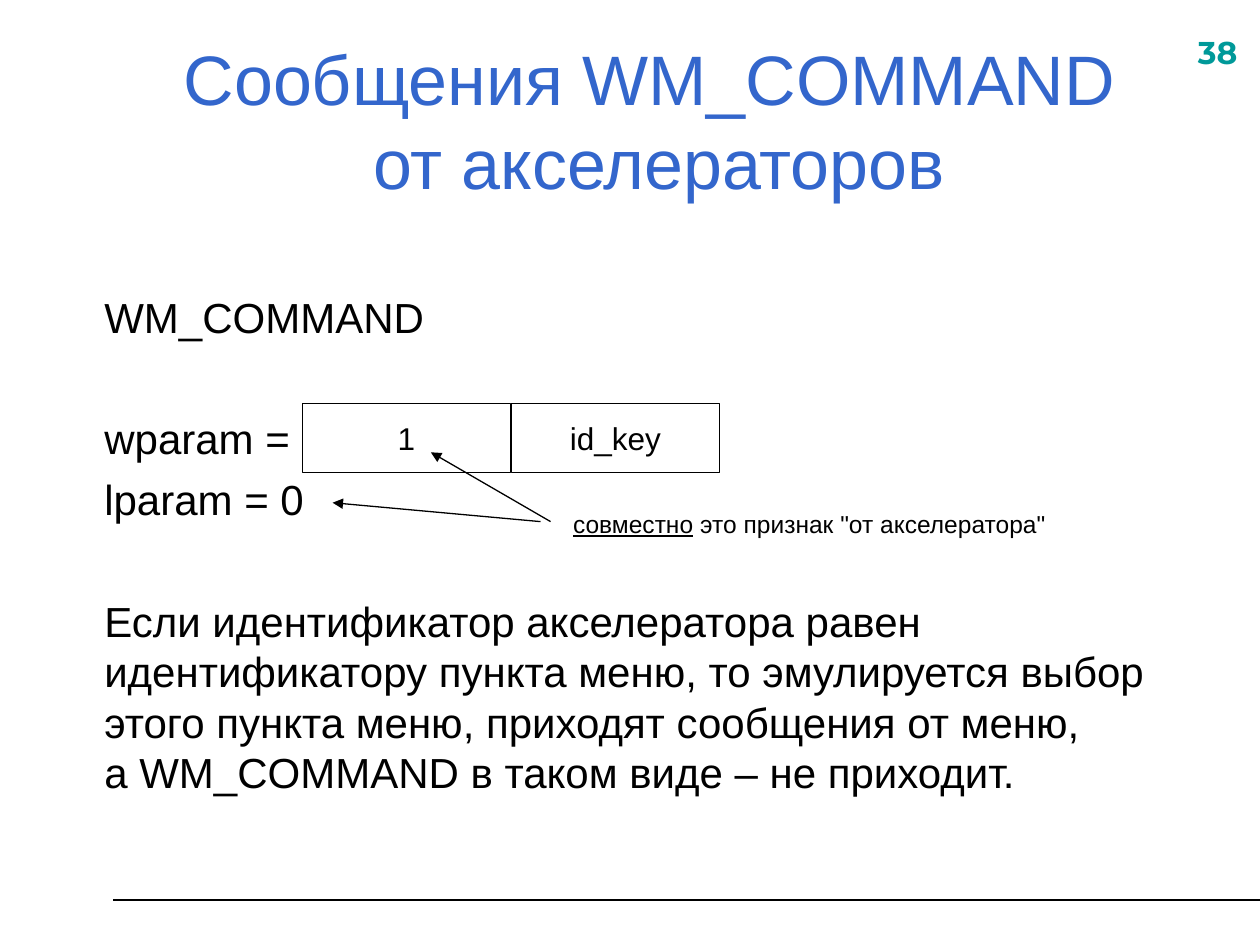
from dataclasses import dataclass

from lxml.etree import SubElement
from pptx import Presentation
from pptx.dml.color import RGBColor
from pptx.enum.shapes import MSO_CONNECTOR, MSO_SHAPE
from pptx.enum.text import MSO_ANCHOR, MSO_AUTO_SIZE, PP_ALIGN
from pptx.oxml.ns import qn
from pptx.util import Inches, Pt


@dataclass(frozen=True)
class Theme:
    black: RGBColor = RGBColor(0x00, 0x00, 0x00)
    blue: RGBColor = RGBColor(0x33, 0x66, 0xCC)
    teal: RGBColor = RGBColor(0x00, 0x99, 0x99)
    font: str = "Arial"
    number_font: str = "Montserrat"
    title_size: Pt = Pt(40)
    body_size: Pt = Pt(24)
    cell_size: Pt = Pt(18)
    note_size: Pt = Pt(14)
    thin: Pt = Pt(0.75)
    rule: Pt = Pt(1.25)


THEME = Theme()


def set_format(target, values):
    for name, value in values.items():
        setattr(target, name, value)


def write(para, text, size, color=THEME.black, **extra):
    """Add one formatted span; a vertical tab in the text breaks the line."""
    for index, piece in enumerate(text.split("\v")):
        if index:
            para.add_line_break()
        span = para.add_run()
        span.text = piece
        set_format(span.font, {"name": THEME.font, "size": size, **extra})
        span.font.color.rgb = color


def add_box(slide, left, top, width, height, **frame_format):
    box = slide.shapes.add_textbox(
        Inches(left), Inches(top), Inches(width), Inches(height))
    set_format(box.text_frame, {"word_wrap": True, **frame_format})
    return box.text_frame


def add_title(slide, text):
    title = slide.shapes.title
    set_format(title, {"left": Inches(0.73), "top": Inches(0.32),
                       "width": Inches(9), "height": Inches(1.25)})
    set_format(title.text_frame, {"vertical_anchor": MSO_ANCHOR.MIDDLE,
                                  "auto_size": MSO_AUTO_SIZE.NONE})
    para = title.text_frame.paragraphs[0]
    para.alignment = PP_ALIGN.CENTER
    write(para, text, THEME.title_size, THEME.blue)


def add_body(slide, items):
    frame = add_box(slide, 0.73, 1.78, 9, 4.95, margin_top=Inches(0.53))
    for index, (text, space) in enumerate(items):
        para = frame.add_paragraph() if index else frame.paragraphs[0]
        para.space_before = Pt(space)
        write(para, text, THEME.body_size)


def add_cell(slide, left, text):
    cell = slide.shapes.add_shape(
        MSO_SHAPE.RECTANGLE, Inches(left), Inches(3.2), Inches(1.65), Inches(0.55))
    cell.shadow.inherit = False
    cell.fill.background()
    cell.line.color.rgb = THEME.black
    cell.line.width = THEME.thin
    set_format(cell.text_frame, {"word_wrap": False,
                                 "vertical_anchor": MSO_ANCHOR.MIDDLE})
    para = cell.text_frame.paragraphs[0]
    para.alignment = PP_ALIGN.CENTER
    write(para, text, THEME.cell_size)


def add_line(slide, start, end, width, arrow=False):
    line = slide.shapes.add_connector(
        MSO_CONNECTOR.STRAIGHT, *map(Inches, start + end))
    line.line.color.rgb = THEME.black
    line.line.width = width
    if arrow:
        SubElement(line.line._get_or_add_ln(), qn("a:tailEnd"), type="triangle")
    SubElement(line._element.spPr, qn("a:effectLst"))


def main():
    deck = Presentation()
    set_format(deck, {"slide_width": Inches(10), "slide_height": Inches(7.5)})
    slide = deck.slides.add_slide(deck.slide_layouts[5])

    # Footer rule and page number
    add_line(slide, (0.9, 7.14), (10, 7.14), THEME.rule)
    number = add_box(slide, 9.41, 0.21, 0.63, 0.44)
    write(number.paragraphs[0], "38", THEME.cell_size, THEME.teal,
          name=THEME.number_font, bold=True)

    # Title and message description
    add_title(slide, "Сообщения WM_COMMAND \vот акселераторов")
    add_body(slide, [
        ("WM_COMMAND", 0),
        ("wparam =", 40.8),
        ("lparam = 0", 6),
        ("Если идентификатор акселератора равен идентификатору пункта меню, "
         "то эмулируется выбор этого пункта меню, приходят сообщения от меню, "
         "\vа WM_COMMAND в таком виде – не приходит.", 40.8),
    ])

    # The two halves of wparam
    for index, text in enumerate(("1", "id_key")):
        add_cell(slide, 2.4 + index * 1.66, text)

    # Note with arrows to both values
    add_line(slide, (4.37, 4.14), (3.42, 3.59), THEME.thin, arrow=True)
    add_line(slide, (4.29, 4.14), (2.64, 3.99), THEME.thin, arrow=True)
    note = add_box(slide, 4.45, 3.99, 5.36, 0.34).paragraphs[0]
    write(note, "совместно", THEME.note_size, underline=True)
    write(note, " это признак \"от акселератора\"", THEME.note_size)

    deck.save("out.pptx")


if __name__ == "__main__":
    main()
